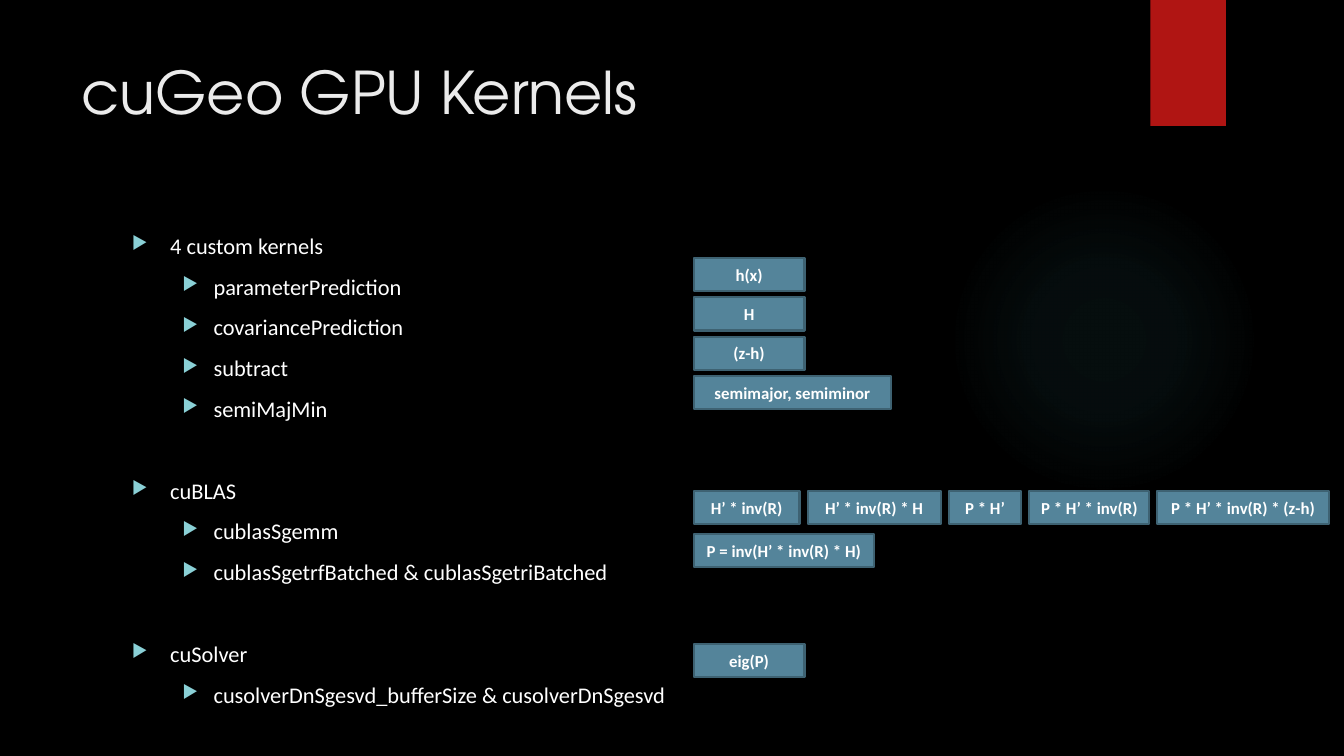
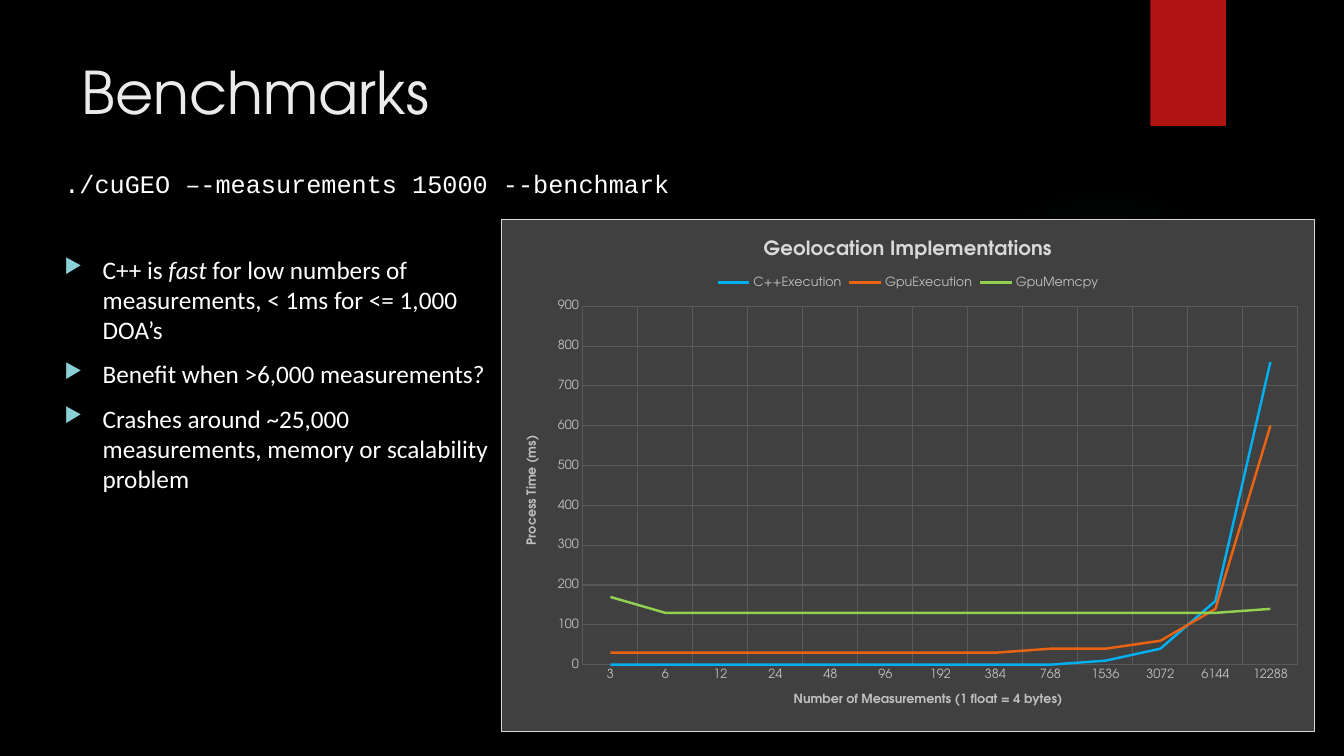
from lxml import etree
from pptx import Presentation
from pptx.chart.data import CategoryChartData
from pptx.dml.color import RGBColor
from pptx.enum.chart import XL_CHART_TYPE, XL_LEGEND_POSITION, XL_TICK_MARK
from pptx.enum.shapes import MSO_SHAPE
from pptx.enum.text import MSO_ANCHOR, MSO_AUTO_SIZE, PP_ALIGN
from pptx.oxml import parse_xml
from pptx.oxml.ns import nsdecls, qn
from pptx.util import Inches, Pt

RECT, OVAL = MSO_SHAPE.RECTANGLE, MSO_SHAPE.OVAL
LEFT, CENTER = PP_ALIGN.LEFT, PP_ALIGN.CENTER
TOP, MIDDLE = MSO_ANCHOR.TOP, MSO_ANCHOR.MIDDLE
NO_FIT = MSO_AUTO_SIZE.NONE
LINE_CHART, LEGEND_TOP = XL_CHART_TYPE.LINE, XL_LEGEND_POSITION.TOP
NO_TICK = XL_TICK_MARK.NONE
HEAD_FONT, BODY_FONT, CODE_FONT = "TeX Gyre Adventor", "Calibri", "Courier New"
COLORS = {
    "back": "000000", "ribbon": "B01513", "glow": "50B9C1", "title": "EBEBEB",
    "text": "FFFFFF", "bullet": "8AD0D6", "box": "54849A", "box_line": "3E6272",
    "panel": "404040", "panel_line": "D9D9D9", "grid": "595959", "label": "BFBFBF",
}
GLOW_STOPS = [(0, 7), (36, 6), (69, 0)]
INDENTS = [(0.38, -0.38), (0.81, -0.31)]
BOX_LEFT, BOX_HEIGHT, BOX_GAP = 6.88, 0.33, 0.08

KERNELS = [
    ("4 custom kernels", ["parameterPrediction", "covariancePrediction", "subtract", "semiMajMin"]),
    ("cuBLAS", ["cublasSgemm", "cublasSgetrfBatched & cublasSgetriBatched"]),
    ("cuSolver", ["cusolverDnSgesvd_bufferSize & cusolverDnSgesvd"]),
]
BOX_ROWS = [
    (2.56, [("h(x)", 1.1)]),
    (2.95, [("H", 1.1)]),
    (3.34, [("(z-h)", 1.1)]),
    (3.73, [("semimajor, semiminor", 1.96)]),
    (4.87, [("H’ * inv(R)", 1.05), ("H’ * inv(R) * H", 1.32), ("P * H’", 0.72),
            ("P * H’ * inv(R)", 1.19), ("P * H’ * inv(R) * (z-h)", 1.7)]),
    (5.3, [("P = inv(H’ * inv(R) * H)", 1.79)]),
    (6.39, [("eig(P)", 1.1)]),
]
FINDINGS = [
    [("C++ is ", False), ("fast ", True),
     ("for low numbers of measurements, < 1ms for <= 1,000 DOA’s", False)],
    [("Benefit when >6,000 measurements?", False)],
    [("Crashes around ~25,000 measurements, memory or scalability problem", False)],
]
MEASUREMENTS = [str(3 * 2 ** i) for i in range(13)]
SERIES = [
    ("C++Execution", "00B0F0", [0] * 9 + [10, 40, 160, 760]),
    ("GpuExecution", "EA6312", [30] * 8 + [40, 40, 60, 140, 600]),
    ("GpuMemcpy", "92D050", [170] + [130] * 11 + [140]),
]


def rgb(name):
    """Return the named colour."""
    return RGBColor.from_string(COLORS[name])


def style_font(font, size, color="text", name=BODY_FONT, bold=False, italic=False):
    """Set the look of a font."""
    font.size, font.name, font.bold, font.italic = Pt(size), name, bold, italic
    font.color.rgb = rgb(color)


def add_block(slide, shape, left, top, width, height, fill):
    """Add a flat preset shape without outline."""
    sp = slide.shapes.add_shape(shape, Inches(left), Inches(top), Inches(width), Inches(height))
    sp.shadow.inherit = False
    sp.fill.solid()
    sp.fill.fore_color.rgb = rgb(fill)
    sp.line.fill.background()
    return sp


def add_glow(slide):
    """Add the faint round glow behind the content."""
    sp = add_block(slide, OVAL, 9.41, 1.83, 3.08, 3.08, "glow")
    stops = "".join(
        f'<a:gs pos="{pos * 1000}"><a:srgbClr val="{COLORS["glow"]}">'
        f'<a:alpha val="{alpha * 1000}"/></a:srgbClr></a:gs>' for pos, alpha in GLOW_STOPS)
    grad = parse_xml(
        f'<a:gradFill {nsdecls("a")}><a:gsLst>{stops}</a:gsLst><a:path path="circle">'
        '<a:fillToRect l="50000" t="50000" r="50000" b="50000"/></a:path></a:gradFill>')
    props = sp._element.spPr
    props.replace(props.find(qn("a:solidFill")), grad)


def new_slide(prs, title):
    """Add a slide with background, glow, ribbon and title."""
    slide = prs.slides.add_slide(prs.slide_layouts[5])
    slide.background.fill.solid()
    slide.background.fill.fore_color.rgb = rgb("back")
    add_glow(slide)
    add_block(slide, RECT, 11.41, 0, 0.75, 1.25, "ribbon")
    sp = slide.shapes.title
    sp.left, sp.top, sp.width, sp.height = Inches(0.71), Inches(0.5), Inches(10.29), Inches(1.53)
    tf = sp.text_frame
    tf.text = title
    tf.auto_size, tf.vertical_anchor = NO_FIT, TOP
    tf.paragraphs[0].alignment = LEFT
    style_font(tf.paragraphs[0].runs[0].font, 42, "title", HEAD_FONT)
    return slide


def add_text(slide, left, top, width, height, wrap=True):
    """Add an empty text box and return its text frame."""
    sp = slide.shapes.add_textbox(Inches(left), Inches(top), Inches(width), Inches(height))
    sp.text_frame.word_wrap = wrap
    return sp.text_frame


def add_bullets(tf, items, size):
    """Fill a text frame with (level, space before, runs) bullets."""
    for i, (level, space, runs) in enumerate(items):
        p = tf.add_paragraph() if i else tf.paragraphs[0]
        p.level, p.space_before = level, Pt(space)
        for text, italic in runs:
            r = p.add_run()
            r.text = text
            style_font(r.font, size, italic=italic)
        props = p._p.get_or_add_pPr()
        for key, value in zip(("marL", "indent"), INDENTS[level]):
            props.set(key, str(Inches(value)))
        color = etree.SubElement(props, qn("a:buClr"))
        etree.SubElement(color, qn("a:srgbClr"), val=COLORS["bullet"])
        etree.SubElement(props, qn("a:buSzPct"), val="80000")
        etree.SubElement(props, qn("a:buChar"), char="▶")


def add_box_row(slide, top, boxes):
    """Add a row of labelled boxes with equal gaps."""
    left = BOX_LEFT
    for text, width in boxes:
        sp = add_block(slide, RECT, left, top, width, BOX_HEIGHT, "box")
        sp.line.color.rgb = rgb("box_line")
        sp.line.width = Pt(1.5)
        tf = sp.text_frame
        tf.text = text
        tf.vertical_anchor = MIDDLE
        tf.margin_left = tf.margin_right = Inches(0.05)
        tf.paragraphs[0].alignment = CENTER
        style_font(tf.paragraphs[0].runs[0].font, 12, bold=True)
        left += width + BOX_GAP


def style_axis(axis, title):
    """Give an axis its title, labels and gridlines."""
    axis.has_major_gridlines = True
    line = axis.major_gridlines.format.line
    line.color.rgb, line.width = rgb("grid"), Pt(0.75)
    axis.major_tick_mark = axis.minor_tick_mark = NO_TICK
    axis.format.line.fill.background()
    style_font(axis.tick_labels.font, 9, "label", HEAD_FONT)
    set_title(axis.axis_title, title, 9, "label")


def set_title(holder, text, size, color):
    """Write and format a chart or axis title."""
    p = holder.text_frame.paragraphs[0]
    p.text = text
    style_font(p.runs[0].font, size, color, HEAD_FONT, bold=True)


def style_panel(chart):
    """Set the chart background, border and plot position."""
    fill, border = COLORS["panel"], COLORS["panel_line"]
    panel = parse_xml(
        f'<c:spPr {nsdecls("c", "a")}><a:solidFill><a:srgbClr val="{fill}"/></a:solidFill>'
        f'<a:ln w="{Pt(0.75)}"><a:solidFill><a:srgbClr val="{border}"/></a:solidFill></a:ln></c:spPr>')
    root = chart._chartSpace
    root.find(qn("c:txPr")).addprevious(panel)
    plot = root.find(".//" + qn("c:plotArea"))
    for old in plot.findall(qn("c:layout")):
        plot.remove(old)
    spots = "".join(f'<c:{key} val="{value}"/>' for key, value in (
        ("layoutTarget", "inner"), ("xMode", "edge"), ("yMode", "edge"),
        ("x", 0.1), ("y", 0.17), ("w", 0.88), ("h", 0.7)))
    plot.insert(0, parse_xml(
        f'<c:layout {nsdecls("c")}><c:manualLayout>{spots}</c:manualLayout></c:layout>'))


def add_benchmark_chart(slide):
    """Add the line chart of process times."""
    data = CategoryChartData()
    data.categories = MEASUREMENTS
    for name, _, values in SERIES:
        data.add_series(name, values)
    chart = slide.shapes.add_chart(
        LINE_CHART, Inches(4.97), Inches(2.17), Inches(8.07), Inches(5.09), data).chart
    style_font(chart.font, 10, name=HEAD_FONT)
    style_panel(chart)
    chart.has_title = True
    set_title(chart.chart_title, "Geolocation Implementations", 14, "panel_line")
    chart.has_legend = True
    chart.legend.position, chart.legend.include_in_layout = LEGEND_TOP, False
    style_font(chart.legend.font, 9, "label", HEAD_FONT)
    style_axis(chart.category_axis, "Number of Measurements (1 float = 4 bytes)")
    axis = chart.value_axis
    style_axis(axis, "Process Time (ms)")
    axis.minimum_scale, axis.maximum_scale, axis.major_unit = 0, 900, 100
    axis.axis_title._element.find(".//" + qn("a:bodyPr")).set("rot", "-5400000")
    plot = chart.plots[0]
    plot.vary_by_categories = False
    for series, (_, color, _) in zip(plot.series, SERIES):
        series.smooth = False
        series.format.line.width = Pt(1.75)
        series.format.line.color.rgb = RGBColor.from_string(color)


def build_kernels(prs):
    """Build the slide that lists the kernels."""
    slide = new_slide(prs, "cuGeo GPU Kernels")
    items = []
    for head, names in KERNELS:
        items.append((0, 39 if items else 10, [(head, False)]))
        items += [(1, 10, [(name, False)]) for name in names]
    add_bullets(add_text(slide, 1.21, 2.25, 5.65, 4.89), items, 16)
    for top, boxes in BOX_ROWS:
        add_box_row(slide, top, boxes)


def build_benchmarks(prs):
    """Build the slide with the findings and the chart."""
    slide = new_slide(prs, "Benchmarks")
    add_bullets(add_text(slide, 0.54, 2.47, 4.44, 3.75), [(0, 10, runs) for runs in FINDINGS], 18)
    add_benchmark_chart(slide)
    tf = add_text(slide, 0.54, 1.62, 6.23, 0.4, wrap=False)
    tf.text = "./cuGEO –-measurements 15000 --benchmark"
    style_font(tf.paragraphs[0].runs[0].font, 18, name=CODE_FONT)


def main():
    """Build and save the presentation."""
    prs = Presentation()
    prs.slide_width, prs.slide_height = Inches(13.33), Inches(7.5)
    build_kernels(prs)
    build_benchmarks(prs)
    prs.save("out.pptx")


if __name__ == "__main__":
    main()
